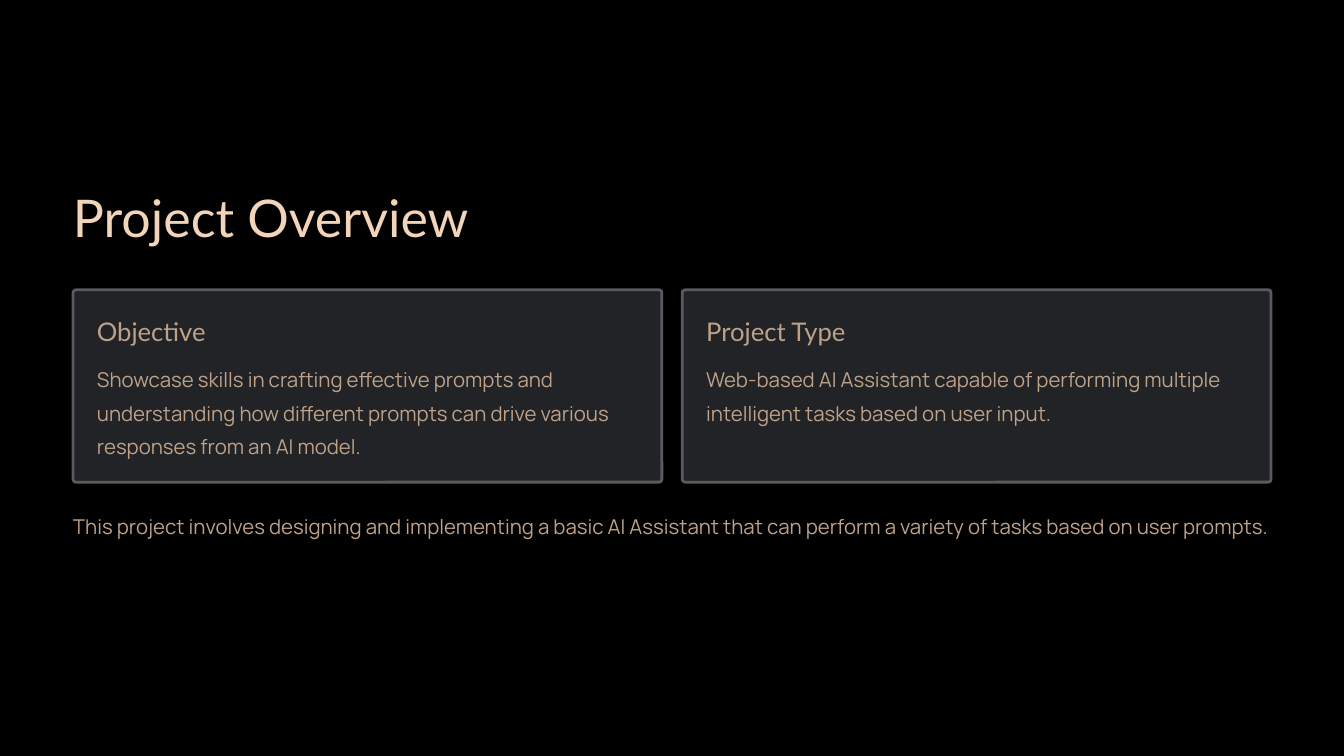
from pptx import Presentation
from pptx import util as u
from pptx.dml import color
from pptx.enum import shapes, text

COLOURS = {
    "background": "000000",
    "title": "F2D4BA",
    "body": "BDA189",
    "card": "212326",
    "border": "595B5E",
}
STYLES = {
    "title": ("Lato", 44.5, 55.5, "title", False),
    "heading": ("Lato", 22, 27.5, "body", False),
    "body": ("Manrope", 17.5, 28.5, "body", True),
}
MARGIN = 62.6
CARD_TOP, CARD_WIDTH, CARD_HEIGHT = 248.4, 504.7, 164.9
CARD_STEP = 522.2
CARD_PADDING = 20.5
CARDS = [
    ("Objective",
     "Showcase skills in crafting effective prompts and understanding how "
     "different prompts can drive various responses from an AI model."),
    ("Project Type",
     "Web-based AI Assistant capable of performing multiple intelligent "
     "tasks based on user input."),
]


class OverviewSlide:
    """Draws styled elements on one slide, with lengths in points."""

    def __init__(self, presentation):
        self.slide = presentation.slides.add_slide(presentation.slide_layouts[6])
        self.paint(self.slide.background.fill, "background")

    def paint(self, fill, name):
        fill.solid()
        fill.fore_color.rgb = color.RGBColor.from_string(COLOURS[name])

    def text(self, words, style, left, top, width, height):
        font_name, size, spacing, colour, wrap = STYLES[style]
        box = self.slide.shapes.add_textbox(*map(u.Pt, (left, top, width, height)))
        frame = box.text_frame
        frame.word_wrap = wrap
        frame.vertical_anchor = text.MSO_ANCHOR.TOP
        frame.margin_left = frame.margin_right = 0
        frame.margin_top = frame.margin_bottom = 0
        paragraph = frame.paragraphs[0]
        paragraph.text = words
        paragraph.alignment = text.PP_ALIGN.LEFT
        paragraph.line_spacing = u.Pt(spacing)
        paragraph.font.name = font_name
        paragraph.font.size = u.Pt(size)
        self.paint(paragraph.font.fill, colour)

    def card(self, heading, body, left):
        shape = self.slide.shapes.add_shape(
            shapes.MSO_SHAPE.ROUNDED_RECTANGLE,
            *map(u.Pt, (left, CARD_TOP, CARD_WIDTH, CARD_HEIGHT)))
        shape.adjustments[0] = 0.016
        shape.shadow.inherit = False
        self.paint(shape.fill, "card")
        self.paint(shape.line.fill, "border")
        shape.line.width = u.Pt(2.4)
        inner_left = left + CARD_PADDING
        self.text(heading, "heading", inner_left, 269.3, 223.2, 28)
        self.text(body, "body", inner_left, 307.4, 464.4, 85.7)


def main():
    presentation = Presentation()
    presentation.slide_width, presentation.slide_height = u.Pt(1152), u.Pt(648)
    overview = OverviewSlide(presentation)
    overview.text("Project Overview", "title", MARGIN, 157, 446.4, 56.2)
    for index, (heading, body) in enumerate(CARDS):
        overview.card(heading, body, MARGIN + index * CARD_STEP)
    overview.text(
        "This project involves designing and implementing a basic AI Assistant "
        "that can perform a variety of tasks based on user prompts.",
        "body", MARGIN, 433.4, 1026.7, 56.9)
    presentation.save("out.pptx")


if __name__ == "__main__":
    main()
